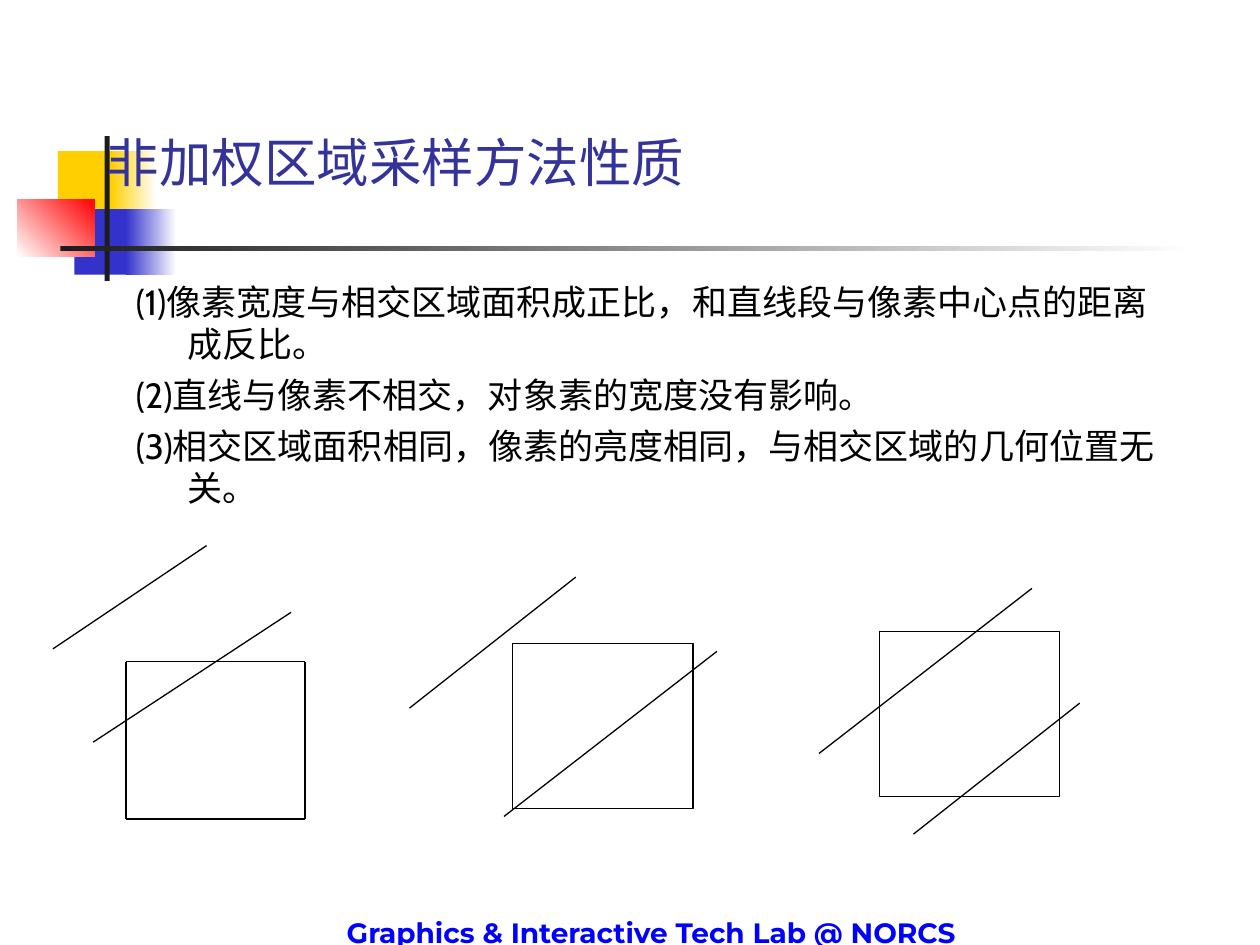
import pptx
import pptx.util
import pptx.dml.color
import pptx.enum.shapes
import pptx.enum.text
import pptx.oxml
import pptx.oxml.ns

Inches = pptx.util.Inches
Pt = pptx.util.Pt
Anchor = pptx.enum.text.MSO_ANCHOR
Align = pptx.enum.text.PP_ALIGN

HUES = {
    "gold": "FFCF01", "blue": "3333CC", "red": "FF0000", "dark": "1C1C1C",
    "white": "FFFFFF", "black": "000000", "title": "333399", "foot": "0000FF",
}
# left, top, width, height, colours from start to end, angle
DECOR = [
    (0.46, 1.2, 0.48, 0.52, ["gold"], 0),
    (0.88, 1.2, 0.36, 0.52, ["gold", "white"], 0),
    (0.59, 1.66, 0.46, 0.52, ["blue"], 0),
    (1, 1.66, 0.4, 0.52, ["blue", "white"], 0),
    (0.14, 1.58, 0.61, 0.46, ["white", "red"], 45),
    (0.83, 1.08, 0.04, 1.15, ["dark"], 0),
    (0.48, 1.95, 9, 0.04, ["dark", "white"], 0),
]
POINTS = [
    "(1)像素宽度与相交区域面积成正比，和直线段与像素中心点的距离成反比。",
    "(2)直线与像素不相交，对象素的宽度没有影响。",
    "(3)相交区域面积相同，像素的亮度相同，与相交区域的几何位置无关。",
]
PIXELS = [(4.07, 5.11), (6.98, 5.01)]
SLANTS = [
    (2.31, 4.86, 0.74, 5.89), (1.64, 4.33, 0.42, 5.15),
    (5.69, 5.17, 4, 6.48), (4.57, 4.58, 3.25, 5.62),
    (8.19, 4.67, 6.5, 5.98), (8.57, 5.58, 7.25, 6.62),
]
EDGES = [
    (1, 5.25, 1, 6.5), (1, 5.25, 2.42, 5.25),
    (1, 6.5, 2.42, 6.5), (2.42, 5.25, 2.42, 6.5),
]


def hue(name):
    """Return the colour with this name."""
    return pptx.dml.color.RGBColor.from_string(HUES[name])


def apply(item, form):
    """Set each attribute in form on item."""
    for key, value in form.items():
        setattr(item, key, value)


def add_rect(slide, *box):
    """Add a plain rectangle without shadow."""
    kind = pptx.enum.shapes.MSO_SHAPE.RECTANGLE
    rect = slide.shapes.add_shape(kind, *map(Inches, box))
    rect.shadow.inherit = False
    return rect


def add_block(slide, box, names, angle):
    """Add a borderless block in one colour or a two-colour gradient."""
    block = add_rect(slide, *box)
    block.line.fill.background()
    fill = block.fill
    if len(names) == 1:
        fill.solid()
        fill.fore_color.rgb = hue(names[0])
        return
    fill.gradient()
    fill.gradient_angle = angle
    for stop, name, place in zip(fill.gradient_stops, names, (0, 1)):
        stop.color.rgb = hue(name)
        stop.position = place


def ink(line):
    """Give a line the thin black stroke."""
    line.color.rgb = hue("black")
    line.width = Pt(0.74)


def add_pixel(slide, left, top):
    """Add the outline of one pixel."""
    pixel = add_rect(slide, left, top, 1.43, 1.31)
    pixel.fill.background()
    ink(pixel.line)


def add_line(slide, *ends):
    """Add a straight line without shadow."""
    kind = pptx.enum.shapes.MSO_CONNECTOR.STRAIGHT
    line = slide.shapes.add_connector(kind, *map(Inches, ends))
    ink(line.line)
    line._element.spPr.append(pptx.oxml.parse_xml(
        "<a:effectLst %s/>" % pptx.oxml.ns.nsdecls("a")))


def add_text(slide, box, texts, frame, para, font, color, hang=0):
    """Add a text box with one paragraph for each text."""
    body = slide.shapes.add_textbox(*map(Inches, box)).text_frame
    apply(body, {"word_wrap": True, **frame})
    body.text = "\n".join(texts)
    for part in body.paragraphs:
        apply(part, para)
        if hang:
            props = part._p.get_or_add_pPr()
            props.set("marL", str(Inches(hang)))
            props.set("indent", str(-Inches(hang)))
        for run in part.runs:
            apply(run.font, font)
            run.font.color.rgb = hue(color)
            face = pptx.oxml.parse_xml('<a:ea %s typeface="%s"/>' % (
                pptx.oxml.ns.nsdecls("a"), font["name"]))
            run._r.get_or_add_rPr().append(face)


def main():
    """Build the slide and save it."""
    deck = pptx.Presentation()
    apply(deck, {"slide_width": Inches(10), "slide_height": Inches(7.5)})
    slide = deck.slides.add_slide(deck.slide_layouts[6])
    for *box, names, angle in DECOR:
        add_block(slide, box, names, angle)
    add_text(slide, (2.42, 7.22, 5.5, 0.28),
             ["Graphics & Interactive Tech Lab @ NORCS"],
             {"vertical_anchor": Anchor.TOP, "margin_bottom": 0},
             {"alignment": Align.CENTER},
             {"name": "Montserrat", "size": Pt(16), "bold": True}, "foot")
    add_text(slide, (0.75, 0.33, 8.5, 1.25), ["非加权区域采样方法性质"],
             {"vertical_anchor": Anchor.BOTTOM}, {},
             {"name": "Cabin", "size": Pt(30)}, "title")
    add_text(slide, (0.98, 2.18, 8.5, 4.5), POINTS,
             {"vertical_anchor": Anchor.TOP}, {"space_before": Pt(5)},
             {"name": "Cabin", "size": Pt(20)}, "black", hang=0.41)
    for spot in PIXELS:
        add_pixel(slide, *spot)
    for ends in SLANTS + EDGES:
        add_line(slide, *ends)
    deck.save("out.pptx")


main()
